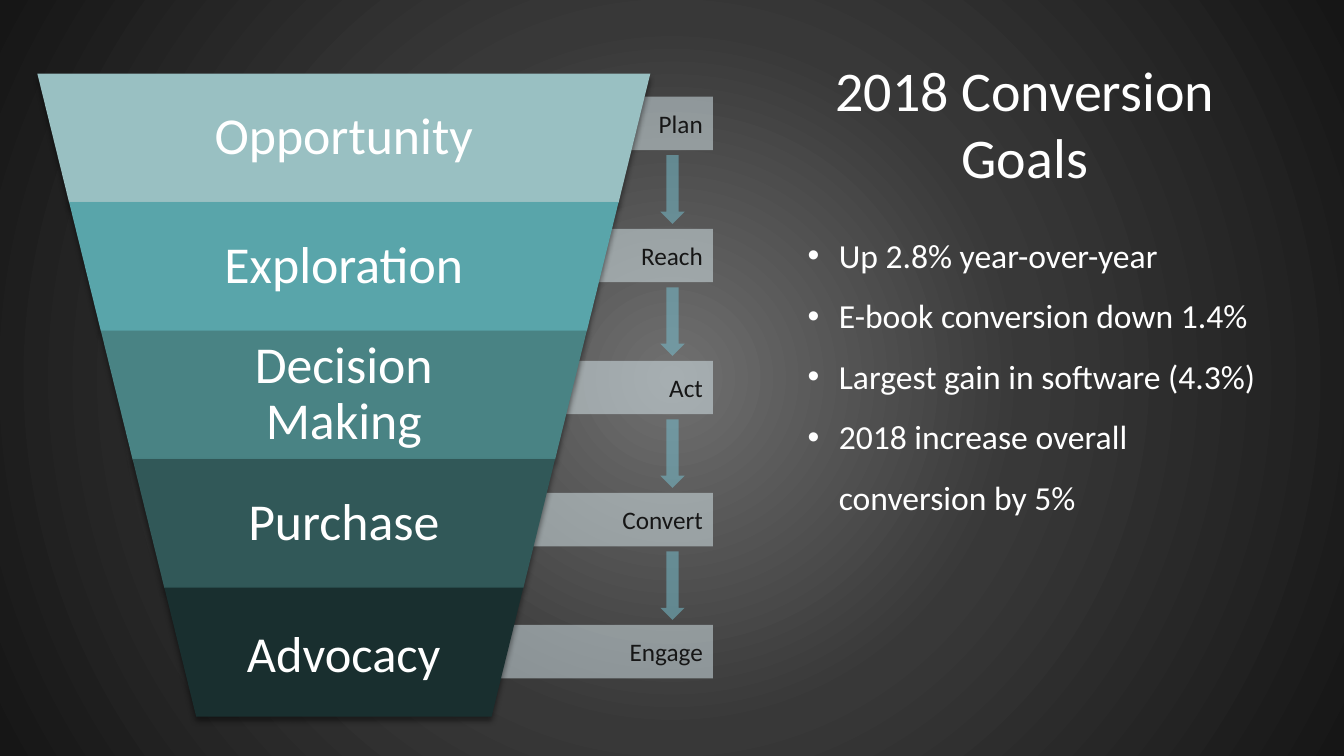
from pptx import Presentation
from pptx.dml.color import RGBColor
from pptx.enum.shapes import MSO_SHAPE as Shape
from pptx.enum.text import MSO_ANCHOR as Anchor, MSO_AUTO_SIZE as AutoSize, PP_ALIGN as Align
from pptx.oxml import parse_xml
from pptx.oxml.ns import nsdecls
from pptx.util import Inches, Pt
from lxml.etree import SubElement

# Content
TITLE = "2018 Conversion Goals"
GOALS = ["Up 2.8% year-over-year", "E-book conversion down 1.4%",
         "Largest gain in software (4.3%)", "2018 increase overall conversion by 5%"]
# Stage, fill, text size, drop of the text's top edge
STAGES = [
    ("Opportunity", RGBColor(0x99, 0xC0, 0xC2), 37, 0),
    ("Exploration", RGBColor(0x59, 0xA5, 0xAA), 37, 0),
    ("Decision Making", RGBColor(0x49, 0x83, 0x84), 37, 0),
    ("Purchase", RGBColor(0x31, 0x58, 0x58), 37, 0),
    ("Advocacy", RGBColor(0x19, 0x2F, 0x2F), 36, 0.08),
]
# Step, left edge of its bar
STEPS = [("Plan", 5.2), ("Reach", 5.2), ("Act", 5.2), ("Convert", 5.2), ("Engage", 4.94)]

# Look
FONT = "Calibri"
WHITE = RGBColor(0xFF, 0xFF, 0xFF)
INK = RGBColor(0x16, 0x16, 0x16)
BAR = RGBColor(0xDD, 0xED, 0xF2)
ARROW = RGBColor(0x79, 0xC5, 0xD6)
GLOW = [(0, RGBColor(0x70, 0x70, 0x70)), (46, RGBColor(0x38, 0x38, 0x38)), (100, INK)]

# Grid, in inches
FUNNEL_MID, FUNNEL_TOP, FUNNEL_WIDTH = 3.41, 0.73, 6.08
STAGE_HEIGHT, TAPER, TEXT_SHARE = 1.28, 0.63, 0.65
STAGE_PITCH = 1.275
STEP_TOP, STEP_PITCH, STEP_HEIGHT, STEP_RIGHT = 0.96, 1.31, 0.53, 7.07
ARROW_LEFT, ARROW_DROP, ARROW_WIDTH, ARROW_HEIGHT = 6.55, 0.58, 0.24, 0.68


def place(item, left, top, width, height):
    item.left, item.top = Inches(left), Inches(top)
    item.width, item.height = Inches(width), Inches(height)


def add_solid(page, kind, area, color, opacity=100):
    shape = page.shapes.add_shape(kind, *map(Inches, area))
    shape.shadow.inherit = False
    shape.line.fill.background()
    shape.fill.solid()
    shape.fill.fore_color.rgb = color
    if opacity < 100:
        color_node = shape.element.spPr.find(".//{*}srgbClr")
        SubElement(color_node, color_node.tag.replace("srgbClr", "alpha"), val=str(opacity * 1000))
    return shape


def write(para, text, size, color, align):
    para.text = text
    para.alignment = align
    para.font.name, para.font.size, para.font.color.rgb = FONT, Pt(size), color


def cast_shadow(shape):
    properties = shape.element.spPr
    properties.replace(properties.find("{*}effectLst"), parse_xml(
        f'<a:effectLst {nsdecls("a")}><a:outerShdw blurRad="50800" dist="38100" dir="5400000" '
        'rotWithShape="0"><a:srgbClr val="000000"><a:alpha val="43000"/></a:srgbClr>'
        '</a:outerShdw></a:effectLst>'))


def paint_background(page):
    stops = "".join(f'<a:gs pos="{share * 1000}"><a:srgbClr val="{color}"/></a:gs>'
                    for share, color in GLOW)
    page.element.cSld.insert(0, parse_xml(
        f'<p:bg {nsdecls("p", "a")}><p:bgPr><a:gradFill><a:gsLst>{stops}</a:gsLst>'
        '<a:path path="circle"><a:fillToRect l="50000" t="50000" r="50000" b="50000"/></a:path>'
        '</a:gradFill><a:effectLst/></p:bgPr></p:bg>'))


def add_steps(page):
    for row, (name, left) in enumerate(STEPS):
        top = STEP_TOP + row * STEP_PITCH
        bar = add_solid(page, Shape.FLOWCHART_PROCESS,
                        (left, top, STEP_RIGHT - left, STEP_HEIGHT), BAR, 50)
        bar.text_frame.vertical_anchor = Anchor.MIDDLE
        write(bar.text_frame.paragraphs[0], name, 18, INK, Align.RIGHT)
        if row < len(STEPS) - 1:
            add_solid(page, Shape.DOWN_ARROW,
                      (ARROW_LEFT, top + ARROW_DROP, ARROW_WIDTH, ARROW_HEIGHT), ARROW, 50)


def add_funnel(page):
    for row, (name, color, size, drop) in enumerate(STAGES):
        top = FUNNEL_TOP + row * STAGE_PITCH
        width = FUNNEL_WIDTH - row * TAPER
        band = add_solid(page, Shape.TRAPEZOID,
                         (FUNNEL_MID - width / 2, top, width, STAGE_HEIGHT), color)
        band.rotation = 180
        band.adjustments[0] = TAPER / 2 / STAGE_HEIGHT
        cast_shadow(band)
        # The label is upright, apart from the turned band
        width *= TEXT_SHARE
        label = page.shapes.add_textbox(*map(Inches, (
            FUNNEL_MID - width / 2, top + drop, width, STAGE_HEIGHT - drop)))
        frame = label.text_frame
        frame.word_wrap = True
        frame.vertical_anchor = Anchor.MIDDLE
        frame.margin_left = frame.margin_right = Inches(0.05)
        write(frame.paragraphs[0], name, size, WHITE, Align.CENTER)
        frame.paragraphs[0].line_spacing = 0.9


def add_goals(page):
    title, body = page.shapes.title, page.placeholders[1]
    place(title, 7.71, 0.5, 4.91, 1.45)
    place(body, 7.91, 2.08, 4.71, 3.13)
    for holder in (title, body):
        holder.text_frame.auto_size = AutoSize.NONE
        holder.text_frame.vertical_anchor = Anchor.TOP
    write(title.text_frame.paragraphs[0], TITLE, 40, WHITE, Align.CENTER)
    frame = body.text_frame
    for row, goal in enumerate(GOALS):
        para = frame.add_paragraph() if row else frame.paragraphs[0]
        settings = para._p.get_or_add_pPr()
        settings.set("marL", str(Inches(0.31)))
        settings.set("indent", str(-Inches(0.31)))
        settings.append(parse_xml(f'<a:buFont {nsdecls("a")} typeface="Arial"/>'))
        settings.append(parse_xml(f'<a:buChar {nsdecls("a")} char="•"/>'))
        write(para, goal, 24, WHITE, Align.LEFT)
        para.line_spacing, para.space_before = 1.5, Pt(0)


def main():
    deck = Presentation()
    deck.slide_width, deck.slide_height = Inches(13.33), Inches(7.5)
    page = deck.slides.add_slide(deck.slide_layouts[1])
    paint_background(page)
    add_steps(page)
    add_funnel(page)
    add_goals(page)
    deck.save("out.pptx")


if __name__ == "__main__":
    main()
